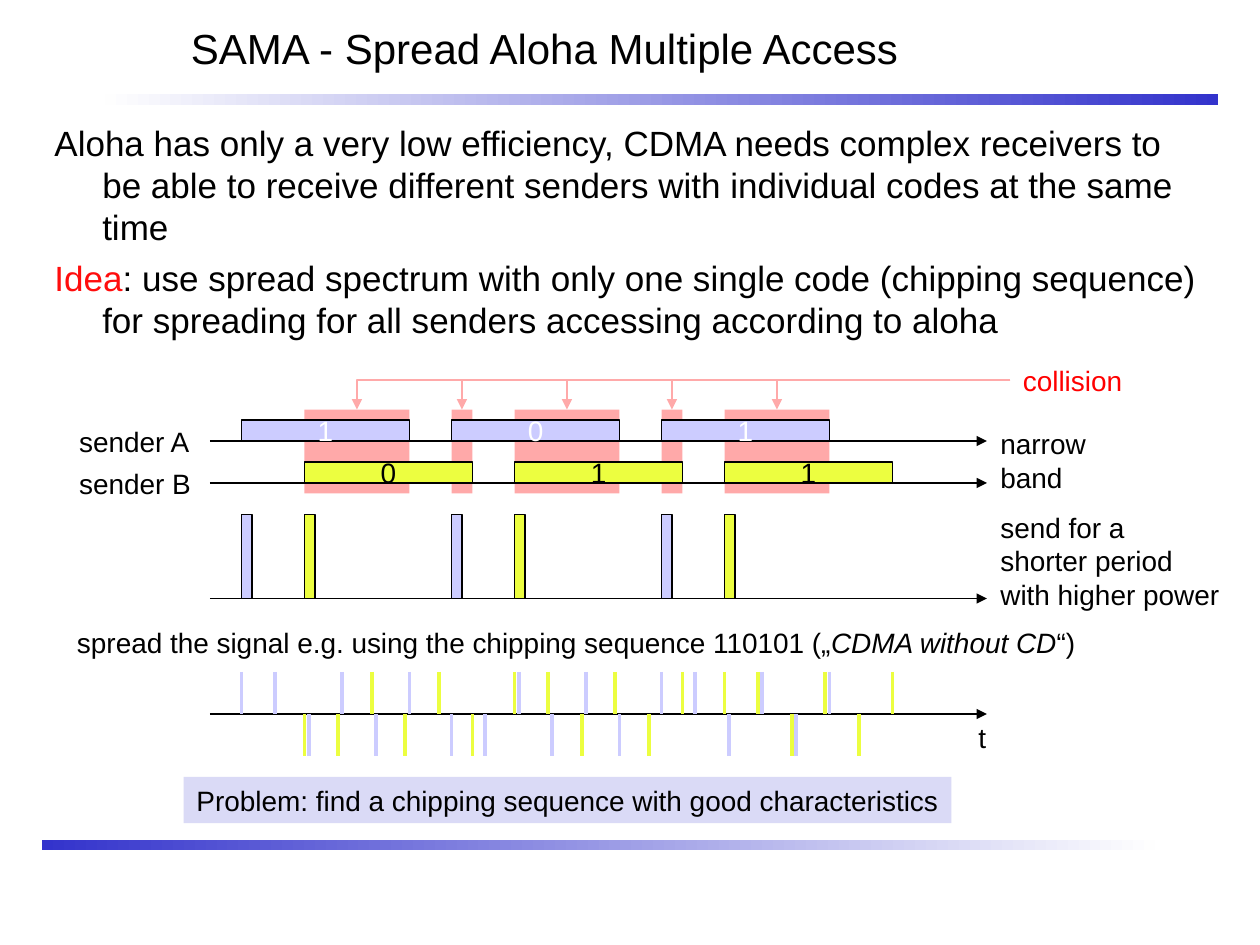
import pptx
import pptx.util
import pptx.dml.color
import pptx.enum.shapes
import pptx.enum.text
import pptx.oxml.ns
from lxml import etree

COLORS = {
    "black": "000000", "white": "FFFFFF", "idea": "FF0D0D", "collision": "FF0000",
    "overlap": "FFA9A9", "sender_a": "CCCCFF", "sender_b": "ECFE40",
    "problem": "DADAF6", "bar_dark": "3333CC", "bar_light": "FEFEFE",
}
TITLE = "SAMA - Spread Aloha Multiple Access"
BODY = [
    [("Aloha has only a very low efficiency, CDMA needs complex receivers to be able to "
      "receive different senders with individual codes at the same time", "black")],
    [("Idea", "idea"),
     (": use spread spectrum with only one single code (chipping sequence) for spreading "
      "for all senders accessing according to aloha", "black")],
]
SPREAD = [("spread the signal e.g. using the chipping sequence 110101 („", False),
          ("CDMA without CD", True), ("“)", False)]
CHIPS = "110101"
SENDERS = [
    {"color": "sender_a", "ink": "white", "row": 40, "bits": {23: "1", 43: "0", 63: "1"}},
    {"color": "sender_b", "ink": "black", "row": 44, "bits": {29: "0", 49: "1", 69: "1"}},
]
LABELS = [
    ("sender A", 6.36, 39.85, 13.1, 4.4, "black", False),
    ("sender B", 6.36, 43.85, 13.1, 4.4, "black", False),
    ("narrow\vband", 94.1, 40, 10.6, 7.7, "black", False),
    ("send for a\nshorter period\nwith higher power", 94.1, 48, 23.3, 10.8, "black", False),
    ("t", 92, 68, 3.1, 4.4, "black", True),
    ("collision", 96.2, 34, 11.9, 4.4, "collision", True),
]
COLUMNS, ROWS = 120, 90
BIT_WIDTH, BIT_HEIGHT = 16, 2
PULSE_TOP, PULSE_AXIS, CHIP_AXIS, CHIP_HEIGHT = 49, 57, 68, 4
AXIS_START, AXIS_END = 20, 94
OVERLAP_TOP, OVERLAP_HEIGHT = 39, 8
COLLISION_COLUMN, COLLISION_ROW = 96.2, 36.2

deck = pptx.Presentation()
deck.slide_width = pptx.util.Inches(10)
deck.slide_height = pptx.util.Inches(7.5)
slide = deck.slides.add_slide(deck.slide_layouts[6])


def x(column):
    return round(deck.slide_width * column / COLUMNS)


def y(row):
    return round(deck.slide_height * row / ROWS)


def rgb(name):
    return pptx.dml.color.RGBColor.from_string(COLORS[name])


def style(paragraph, size, color):
    paragraph.font.size = pptx.util.Pt(size)
    paragraph.font.name = "Arial"
    paragraph.font.color.rgb = rgb(color)


def block(column, row, width, height, fill=None, outlined=False):
    box = slide.shapes.add_shape(pptx.enum.shapes.MSO_SHAPE.RECTANGLE,
                                 x(column), y(row), x(width), y(height))
    box.shadow.inherit = False
    if fill:
        box.fill.solid()
        box.fill.fore_color.rgb = rgb(fill)
    if outlined:
        box.line.color.rgb = rgb("black")
        box.line.width = pptx.util.Pt(0.75)
    else:
        box.line.fill.background()
    return box


def write(box, text, size, color, centred=False, wrap=False, grow=False):
    frame = box.text_frame
    frame.word_wrap = wrap
    frame.vertical_anchor = pptx.enum.text.MSO_ANCHOR.MIDDLE
    if grow:
        frame.auto_size = pptx.enum.text.MSO_AUTO_SIZE.SHAPE_TO_FIT_TEXT
    frame.text = text
    align = pptx.enum.text.PP_ALIGN
    for paragraph in frame.paragraphs:
        paragraph.alignment = align.CENTER if centred else align.LEFT
        style(paragraph, size, color)
    return frame


def textbox(column, row, width, height):
    return slide.shapes.add_textbox(x(column), y(row), x(width), y(height))


def connect(shapes, start, end, color, weight, arrow=False, bent=False):
    kinds = pptx.enum.shapes.MSO_CONNECTOR
    line = shapes.add_connector(kinds.ELBOW if bent else kinds.STRAIGHT,
                                x(start[0]), y(start[1]), x(end[0]), y(end[1]))
    line.line.color.rgb = rgb(color)
    line.line.width = pptx.util.Pt(weight)
    qn = pptx.oxml.ns.qn
    properties = line._element.spPr
    if bent:
        properties.find(qn("a:prstGeom")).set("prst", "bentConnector2")
    if arrow:
        etree.SubElement(properties.find(qn("a:ln")), qn("a:tailEnd"), type="triangle")
    etree.SubElement(properties, qn("a:effectLst"))


def gradient_bar(column, row, first, last):
    bar = block(column, row, 106, 1)
    bar.fill.gradient()
    bar.fill.gradient_angle = 180
    for stop, color, position in zip(bar.fill.gradient_stops, (first, last), (0, 1)):
        stop.color.rgb = rgb(color)
        stop.position = position


def axis(row):
    connect(slide.shapes, (AXIS_START, row), (AXIS_END, row), "black", 0.75, arrow=True)


gradient_bar(10, 9, "bar_dark", "bar_light")
gradient_bar(4, 80, "bar_light", "bar_dark")

body = textbox(4, 11, 112, 68).text_frame
body.word_wrap = True
for number, runs in enumerate(BODY):
    paragraph = body.add_paragraph() if number else body.paragraphs[0]
    paragraph._p.get_or_add_pPr().set("marL", str(pptx.util.Inches(0.38)))
    paragraph._p.get_or_add_pPr().set("indent", str(-pptx.util.Inches(0.38)))
    paragraph.space_before = pptx.util.Pt(5 if number else 0)
    style(paragraph, 20, "black")
    for text, color in runs:
        run = paragraph.add_run()
        run.text = text
        run.font.color.rgb = rgb(color)

overlaps = []
for a in SENDERS[0]["bits"]:
    for b in SENDERS[1]["bits"]:
        left, right = max(a, b), min(a, b) + BIT_WIDTH
        if left < right:
            overlaps.append((left, right))
for left, right in overlaps:
    block(left, OVERLAP_TOP, right - left, OVERLAP_HEIGHT, "overlap")

write(textbox(17, 0, 101, 9), TITLE, 24, "black", wrap=True)

axis(PULSE_AXIS)
axis(CHIP_AXIS)
for sender in SENDERS:
    axis(sender["row"] + BIT_HEIGHT)
    for start, bit in sender["bits"].items():
        block(start, PULSE_TOP, 1, PULSE_AXIS - PULSE_TOP, sender["color"], outlined=True)
        bar = block(start, sender["row"], BIT_WIDTH, BIT_HEIGHT, sender["color"], outlined=True)
        write(bar, bit, 16, sender["ink"], centred=True)
        burst = slide.shapes.add_group_shape()
        for number, chip in enumerate(CHIPS):
            column = start + number * BIT_WIDTH / (len(CHIPS) - 1)
            tip = CHIP_AXIS + (-CHIP_HEIGHT if chip == bit else CHIP_HEIGHT)
            connect(burst.shapes, (column, min(tip, CHIP_AXIS)), (column, max(tip, CHIP_AXIS)),
                    sender["color"], 2.25)

for text, column, row, width, height, color, centred in LABELS:
    write(textbox(column, row, width, height), text, 16, color, centred, grow=True)

spread = write(textbox(6.15, 59, 97.8, 4.4), "", 16, "black", grow=True)
for text, italic in SPREAD:
    run = spread.paragraphs[0].add_run()
    run.text = text
    run.font.italic = italic

write(block(17.5, 74, 73.1, 4.4, "problem"),
      "Problem: find a chipping sequence with good characteristics",
      16, "black", centred=True, grow=True)

for left, right in overlaps:
    connect(slide.shapes, (COLLISION_COLUMN, COLLISION_ROW), ((left + right) / 2, OVERLAP_TOP),
            "overlap", 0.75, arrow=True, bent=True)

deck.save("out.pptx")
